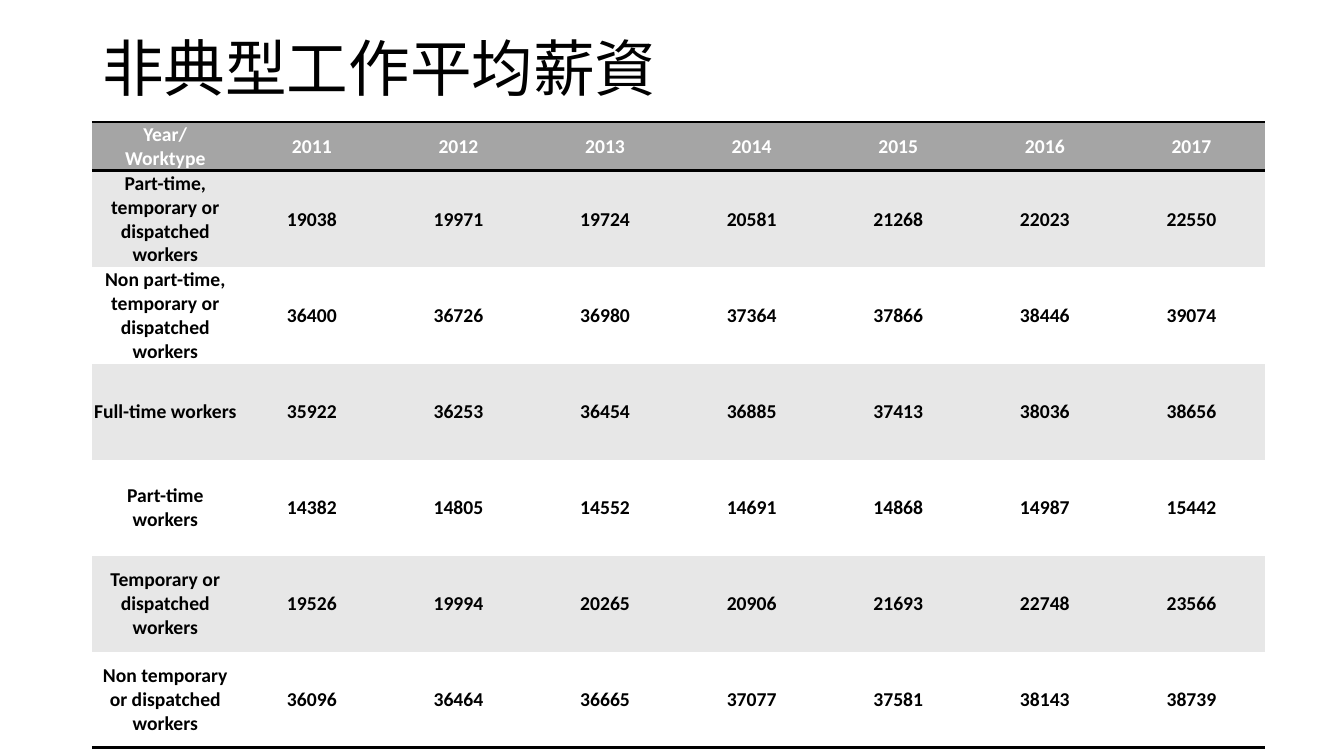
"""Build a slide with a table of average wages by work type and year."""
from dataclasses import dataclass

from lxml import etree
from pptx import Presentation
from pptx import util as u
from pptx.dml.color import RGBColor
from pptx.enum import text
from pptx.oxml.ns import qn

EMU_PER_PX = 914400 / 100.8
NO_STYLE_NO_GRID = "{2D5ABB26-0587-4C30-8999-92F81FD0307C}"


@dataclass(frozen=True)
class Theme:
    font: str = "Calibri"
    ink: str = "000000"
    header_ink: str = "FFFFFF"
    header_fill: str = "A5A5A5"
    band_fills: tuple[str, str] = ("E7E7E7", "FFFFFF")
    title_size: int = 44
    table_size: int = 14
    rule_width: int = 2


@dataclass(frozen=True)
class Box:
    left: int
    top: int
    width: int
    height: int


@dataclass(frozen=True)
class TableRow:
    label: str
    values: tuple[int, ...]


@dataclass(frozen=True)
class RowStyle:
    fill: str
    ink: str
    rules: tuple[str, ...]


THEME = Theme()
TITLE_BOX = Box(92, -1, 1159, 146)
TABLE_BOX = Box(92, 122, 1173, 621)
HEADER_HEIGHT = 13
BODY_HEIGHT = 96
ROWS = (
    TableRow("Year/\nWorktype", tuple(range(2011, 2018))),
    TableRow("Part-time, temporary or dispatched workers",
             (19038, 19971, 19724, 20581, 21268, 22023, 22550)),
    TableRow("Non part-time, temporary or dispatched workers",
             (36400, 36726, 36980, 37364, 37866, 38446, 39074)),
    TableRow("Full-time workers",
             (35922, 36253, 36454, 36885, 37413, 38036, 38656)),
    TableRow("Part-time workers",
             (14382, 14805, 14552, 14691, 14868, 14987, 15442)),
    TableRow("Temporary or dispatched workers",
             (19526, 19994, 20265, 20906, 21693, 22748, 23566)),
    TableRow("Non temporary or dispatched workers",
             (36096, 36464, 36665, 37077, 37581, 38143, 38739)),
)


def px(length: float) -> u.Emu:
    """Convert pixels to EMU."""
    return u.Emu(round(length * EMU_PER_PX))


def format_runs(paragraph, size: int, color: str, bold: bool) -> None:
    """Apply the font to every run and the size to every line break."""
    for run in paragraph.runs:
        run.font.name = THEME.font
        run.font.size = u.Pt(size)
        run.font.bold = bold
        run.font.color.rgb = RGBColor.from_string(color)
    for line_break in paragraph._p.findall(qn("a:br")):
        etree.SubElement(line_break, qn("a:rPr"), sz=str(size * 100))


def add_rule(cell, side: str) -> None:
    """Draw a solid border on one side of a cell."""
    properties = cell._tc.get_or_add_tcPr()
    line = etree.SubElement(properties, qn(f"a:{side}"), w=str(u.Pt(THEME.rule_width)))
    fill = etree.SubElement(line, qn("a:solidFill"))
    etree.SubElement(fill, qn("a:srgbClr"), val=THEME.ink)


def row_style(index: int) -> RowStyle:
    """Choose the fill, ink and rules of a table row."""
    if index == 0:
        return RowStyle(THEME.header_fill, THEME.header_ink, ("lnT", "lnB"))
    rules = ("lnB",) if index == len(ROWS) - 1 else ()
    return RowStyle(THEME.band_fills[(index - 1) % 2], THEME.ink, rules)


def fill_cell(cell, content: str, style: RowStyle) -> None:
    """Write and format one table cell."""
    cell.margin_left = cell.margin_right = cell.margin_top = px(1)
    cell.margin_bottom = 0
    cell.vertical_anchor = text.MSO_ANCHOR.MIDDLE
    for side in style.rules:
        add_rule(cell, side)
    cell.fill.solid()
    cell.fill.fore_color.rgb = RGBColor.from_string(style.fill)
    paragraph = cell.text_frame.paragraphs[0]
    paragraph.text = content
    paragraph.alignment = text.PP_ALIGN.CENTER
    format_runs(paragraph, THEME.table_size, style.ink, True)


def set_title(slide, content: str, box: Box) -> None:
    """Place and format the title placeholder."""
    title = slide.shapes.title
    title.left, title.top = px(box.left), px(box.top)
    title.width, title.height = px(box.width), px(box.height)
    frame = title.text_frame
    frame.text = content
    frame.auto_size = text.MSO_AUTO_SIZE.NONE
    frame.vertical_anchor = text.MSO_ANCHOR.MIDDLE
    paragraph = frame.paragraphs[0]
    paragraph.alignment = text.PP_ALIGN.LEFT
    paragraph.line_spacing = 0.9
    format_runs(paragraph, THEME.title_size, THEME.ink, False)


def add_wage_table(slide, rows: tuple[TableRow, ...], box: Box) -> None:
    """Add the wage table with equal columns."""
    column_count = len(rows[0].values) + 1
    shape = slide.shapes.add_table(len(rows), column_count, px(box.left),
                                   px(box.top), px(box.width), px(box.height))
    table = shape.table
    table._tbl.tblPr.find(qn("a:tableStyleId")).text = NO_STYLE_NO_GRID
    for column in table.columns:
        column.width = px(box.width / column_count)
    for index, row in enumerate(rows):
        table.rows[index].height = px(BODY_HEIGHT if index else HEADER_HEIGHT)
        for cell, content in zip(table.rows[index].cells, (row.label, *row.values)):
            fill_cell(cell, str(content), row_style(index))
    shape.height = px(box.height)


def main() -> None:
    """Create and save the presentation."""
    presentation = Presentation()
    presentation.slide_width, presentation.slide_height = px(1344), px(756)
    slide = presentation.slides.add_slide(presentation.slide_layouts.get_by_name("Title Only"))
    set_title(slide, "非典型工作平均薪資", TITLE_BOX)
    add_wage_table(slide, ROWS, TABLE_BOX)
    presentation.save("out.pptx")


if __name__ == "__main__":
    main()
